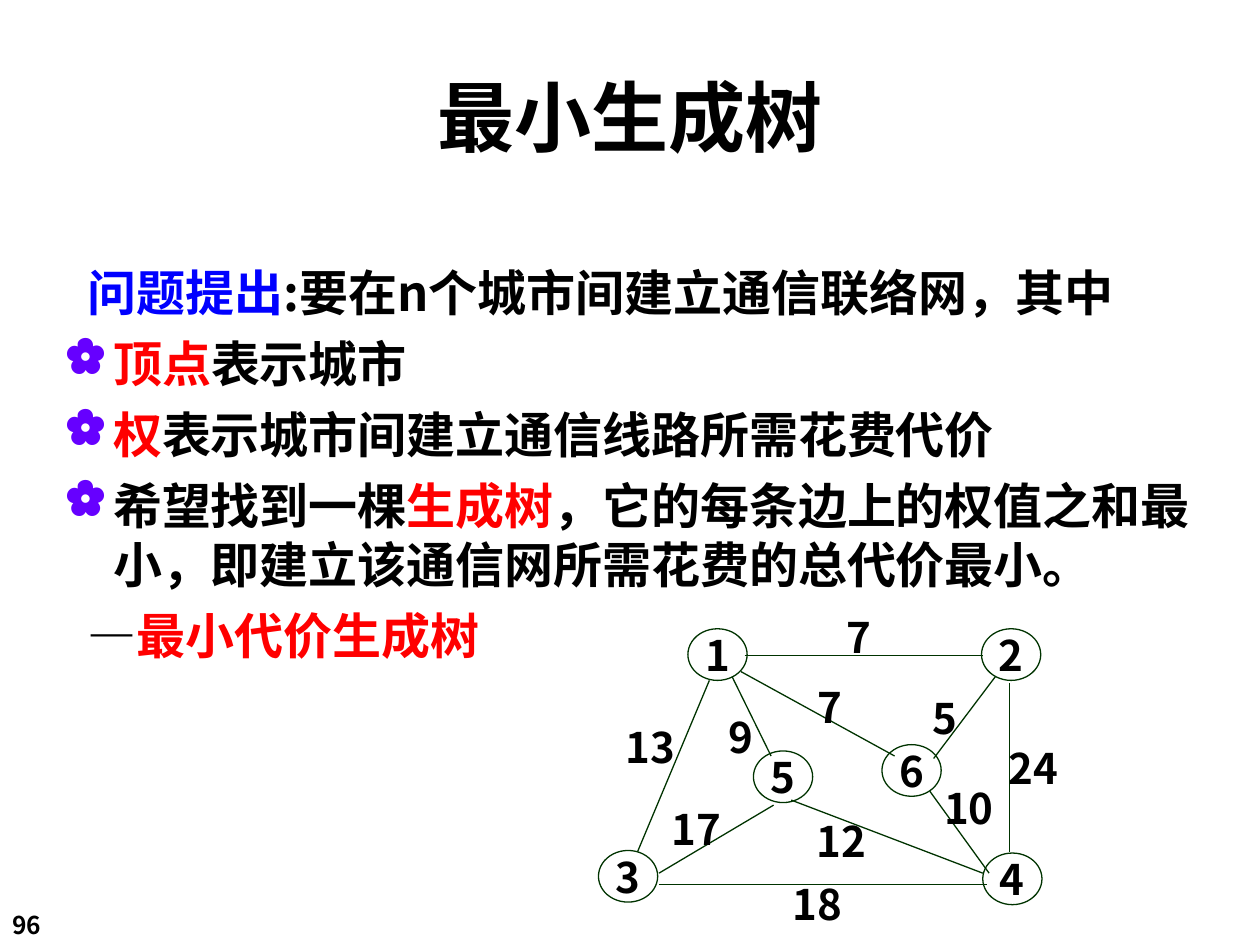
import dataclasses
import typing

import lxml.etree
import pptx
import pptx.dml.color
import pptx.enum.shapes
import pptx.enum.text
import pptx.oxml.ns
import pptx.util

Inches = pptx.util.Inches
Pt = pptx.util.Pt
Align = pptx.enum.text.PP_ALIGN
Anchor = pptx.enum.text.MSO_ANCHOR
Point = tuple[float, float]
Box = tuple[float, float, float, float]


@dataclasses.dataclass(frozen=True)
class Theme:
    font: str = "Noto Sans CJK SC"
    black: str = "000000"
    blue: str = "0000FF"
    red: str = "FF0000"
    purple: str = "6600FF"
    green: str = "003300"
    title: float = 44
    body: float = 28
    graph: float = 24
    page: float = 14
    line: float = 0.75


THEME = Theme()


class Span(typing.NamedTuple):
    text: str
    color: str = THEME.black


class Item(typing.NamedTuple):
    spans: list[Span]
    mark: str = ""


class Node(typing.NamedTuple):
    name: str
    left: float
    top: float


class Edge(typing.NamedTuple):
    start: Point
    end: Point
    weight: str
    label: Point


ITEMS = [
    Item([Span("问题提出", THEME.blue), Span(":要在n个城市间建立通信联络网，其中")]),
    Item([Span("顶点", THEME.red), Span("表示城市")], "✿"),
    Item([Span("权", THEME.red), Span("表示城市间建立通信线路所需花费代价")], "✿"),
    Item([Span("希望找到一棵"), Span("生成树", THEME.red),
          Span("，它的每条边上的权值之和最小，即建立该通信网所需花费的总代价最小。")], "✿"),
    Item([Span("—"), Span("最小代价生成树", THEME.red)]),
]

NODES = [
    Node("1", 5.46, 4.99), Node("6", 7, 5.91), Node("5", 5.98, 5.96),
    Node("4", 7.8, 6.77), Node("3", 4.75, 6.75), Node("2", 7.79, 4.99),
]

EDGES = [
    Edge((5.91, 5.2), (7.8, 5.2), "7", (6.62, 4.8)),
    Edge((5.63, 5.4), (5.06, 6.76), "13", (4.86, 5.68)),
    Edge((5.81, 5.37), (6.12, 6), "9", (5.68, 5.6)),
    Edge((5.23, 7.02), (7.83, 7.02), "18", (6.19, 6.92)),
    Edge((6.14, 6.39), (5.23, 6.93), "17", (5.23, 6.33)),
    Edge((5.88, 5.33), (7.1, 6), "7", (6.39, 5.36)),
    Edge((8.01, 5.42), (8.01, 6.76), "24", (7.9, 5.84)),
    Edge((7.9, 5.37), (7.41, 6.02), "5", (7.3, 5.45)),
    Edge((7.38, 6.28), (7.85, 6.93), "10", (7.39, 6.16)),
    Edge((6.28, 6.35), (7.8, 6.93), "12", (6.38, 6.42)),
]


def put(target: typing.Any, values: dict[str, typing.Any]) -> None:
    for key, value in values.items():
        setattr(target, key, value)


def tint(code: str) -> pptx.dml.color.RGBColor:
    return pptx.dml.color.RGBColor.from_string(code)


def add_tag(parent: typing.Any, tag: str, **values: str) -> typing.Any:
    return lxml.etree.SubElement(parent, pptx.oxml.ns.qn(tag), values)


def add_span(para: typing.Any, span: Span, size: float) -> None:
    run = para.add_run()
    put(run, {"text": span.text})
    put(run.font, {"name": THEME.font, "size": Pt(size), "bold": True})
    run.font.color.rgb = tint(span.color)
    add_tag(run._r.get_or_add_rPr(), "a:ea", typeface=THEME.font)


def fill_text(shape: typing.Any, text: str, size: float, align: Align = Align.CENTER,
              anchor: Anchor = Anchor.MIDDLE, wrap: bool = False) -> None:
    frame = shape.text_frame
    put(frame, {"word_wrap": wrap, "vertical_anchor": anchor})
    para = frame.paragraphs[0]
    para.alignment = align
    add_span(para, Span(text), size)


def add_box(slide: typing.Any, box: Box) -> typing.Any:
    return slide.shapes.add_textbox(*map(Inches, box))


def add_list(slide: typing.Any, box: Box, items: list[Item]) -> None:
    frame = add_box(slide, box).text_frame
    put(frame, {"word_wrap": True, "margin_top": Inches(0.08)})
    for index, item in enumerate(items):
        para = frame.add_paragraph() if index else frame.paragraphs[0]
        props = para._p.get_or_add_pPr()
        hang = -0.38 if item.mark else -0.2
        props.set("marL", str(Inches(0.38)))
        props.set("indent", str(Inches(hang)))
        if item.mark:
            add_tag(add_tag(props, "a:buClr"), "a:srgbClr", val=THEME.purple)
            add_tag(props, "a:buChar", char=item.mark)
        put(para, {"line_spacing": Pt(34), "space_before": Pt(6.5 if index else 0)})
        for span in item.spans:
            add_span(para, span, THEME.body)


def add_node(slide: typing.Any, node: Node) -> None:
    oval = slide.shapes.add_shape(
        pptx.enum.shapes.MSO_SHAPE.OVAL,
        *map(Inches, (node.left, node.top, 0.47, 0.41)))
    oval.shadow.inherit = False
    oval.fill.background()
    oval.line.color.rgb = tint(THEME.green)
    oval.line.width = Pt(THEME.line)
    fill_text(oval, node.name, THEME.graph)


def add_edge(slide: typing.Any, edge: Edge) -> None:
    line = slide.shapes.add_connector(
        pptx.enum.shapes.MSO_CONNECTOR.STRAIGHT,
        *map(Inches, edge.start + edge.end))
    line.line.color.rgb = tint(THEME.green)
    line.line.width = Pt(THEME.line)
    add_tag(line._element.spPr, "a:effectLst")


def add_weight(slide: typing.Any, edge: Edge) -> None:
    width = 0.2 + 0.2 * len(edge.weight)
    fill_text(add_box(slide, (*edge.label, width, 0.5)), edge.weight, THEME.graph)


def main() -> None:
    deck = pptx.Presentation()
    put(deck, {"slide_width": Inches(10), "slide_height": Inches(7.5)})
    slide = deck.slides.add_slide(deck.slide_layouts[6])
    fill_text(add_box(slide, (0, 7.17, 0.83, 0.34)), "96", THEME.page,
              Align.LEFT, Anchor.TOP, True)
    fill_text(add_box(slide, (0.42, 0.42, 9.17, 1)), "最小生成树", THEME.title, wrap=True)
    add_list(slide, (0.42, 2, 9.33, 4.42), ITEMS)
    for draw, parts in ((add_node, NODES), (add_edge, EDGES), (add_weight, EDGES)):
        for part in parts:
            draw(slide, part)
    deck.save("out.pptx")


if __name__ == "__main__":
    main()
